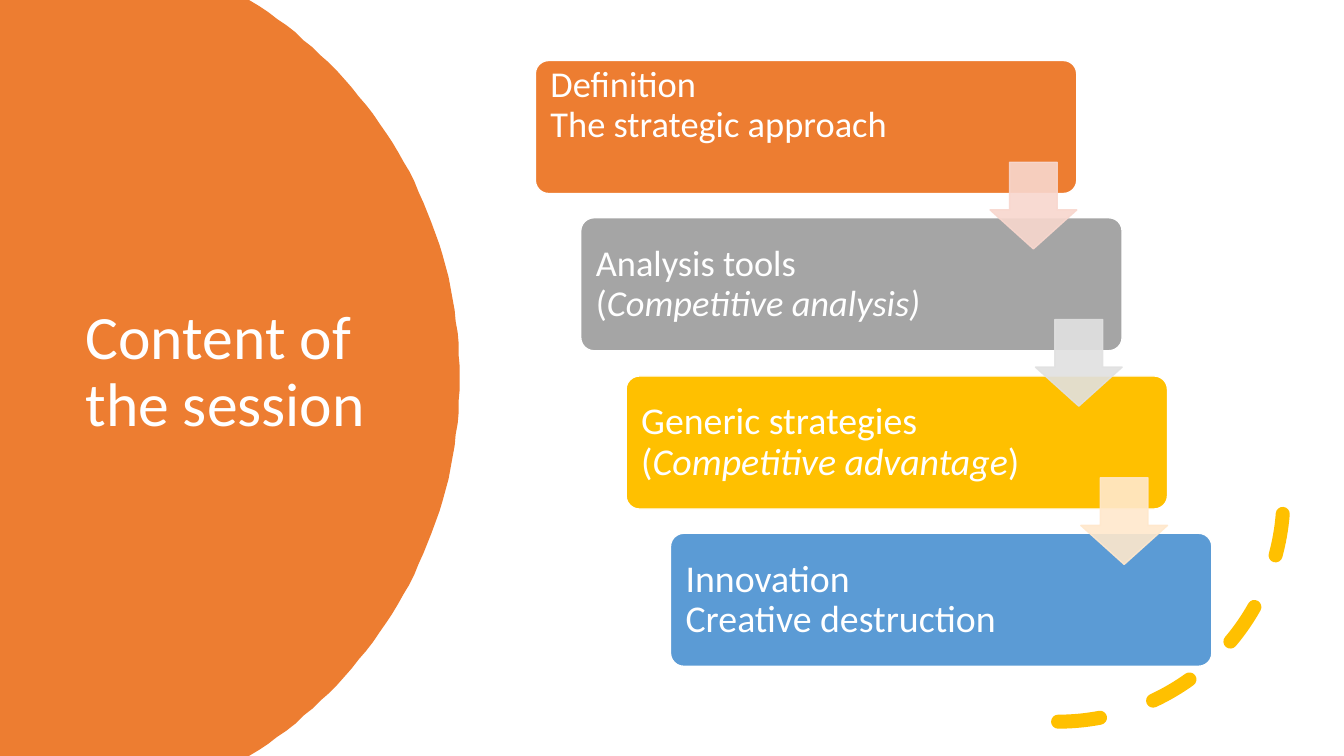
from copy import deepcopy
from math import asin, cos, sin
from lxml.etree import SubElement as Sub
from pptx import Presentation
from pptx.dml.color import RGBColor as RGB
from pptx.enum.dml import MSO_LINE as Dash
from pptx.enum.shapes import MSO_SHAPE as Kind
from pptx.enum.text import MSO_ANCHOR as Anchor
from pptx.oxml.ns import qn
from pptx.util import Pt

PX = 9144
HUE = {
    "white": "FFFFFF", "orange": "ED7D31", "gray": "A5A5A5",
    "gold": "FFC000", "blue": "5B9BD5",
    "rose": "F8D7CE", "silver": "E1E1E1", "cream": "FFE8CC",
}


def paint(shape, fill, line):
    shape.shadow.inherit = False
    shape.fill.solid()
    shape.fill.fore_color.rgb = RGB.from_string(HUE[fill])
    shape.line.color.rgb = RGB.from_string(HUE[line])
    shape.line.width = Pt(1)


def write(left, top, width, height, parts, size, inset):
    box = slide.shapes.add_textbox(left * PX, top * PX, width * PX, height * PX)
    frame = box.text_frame
    frame.word_wrap = True
    frame.vertical_anchor = Anchor.MIDDLE
    frame.margin_left = frame.margin_right = inset * PX
    frame.margin_top = frame.margin_bottom = inset * PX
    para = frame.paragraphs[0]
    para.line_spacing = 0.9
    para.text = parts[0]
    for part in parts[1:]:
        para.add_run().text = part
    for run in para.runs:
        run.font.size = Pt(size)
        run.font.name = "Calibri"
        run.font.color.rgb = RGB.from_string(HUE["white"])
        run.font.italic = run.text in parts[1:2]
    for gap in para._p.findall(qn("a:br")):
        gap.append(deepcopy(para.runs[0]._r.rPr))


deck = Presentation()
deck.slide_width, deck.slide_height = 1333 * PX, 750 * PX
slide = deck.slides.add_slide(deck.slide_layouts[6])

mid, hub, radius, count = 375, 15, 441, 80
reach = asin(mid / radius)
turns = [reach * (2 * i / count - 1) for i in range(count + 1)]
rim = [(hub + radius * cos(t), mid + radius * sin(t)) for t in turns]
pen = slide.shapes.build_freeform(0, 0, scale=PX)
pen.add_line_segments(rim + [(0, 750)], close=True)
disc = pen.convert_to_shape()
paint(disc, "orange", "orange")
disc.line.fill.background()

write(75, 126, 350, 488, ["Content of the session"], 44, 10)

arc = slide.shapes.add_shape(Kind.ARC, 826 * PX, 269 * PX, 447 * PX, 447 * PX)
paint(arc, "gold", "gold")
arc.fill.background()
arc.line.width = Pt(10)
arc.line.dash_style = Dash.DASH
arc.line._ln.set("cap", "rnd")
arc._element.spPr.xfrm.set("flipV", "1")

steps = [
    ("orange", 26, 383, ["Definition\vThe strategic approach\v"]),
    ("gray", 26, 399, ["Analysis tools\v(", "Competitive analysis)"]),
    ("gold", 27, 399, ["Generic strategies\v(", "Competitive advantage", ")"]),
    ("blue", 27, 399, ["Innovation\vCreative destruction"]),
]
for i, (hue, size, width, parts) in enumerate(steps):
    left, top = 531 + round(44.8 * i), 60 + round(156.4 * i)
    card = slide.shapes.add_shape(
        Kind.ROUNDED_RECTANGLE, left * PX, top * PX, 537 * PX, 132 * PX)
    card.adjustments[0] = 0.1
    paint(card, hue, "white")
    write(left + 4, top + 4, width, 125, parts, size, 11)

for i, hue in enumerate(["rose", "silver", "cream"]):
    left, top = 982 + round(44.8 * i), 161 + round(156.4 * i)
    arrow = slide.shapes.add_shape(
        Kind.DOWN_ARROW, left * PX, top * PX, 86 * PX, 86 * PX)
    arrow.adjustments[0], arrow.adjustments[1] = 0.55, 0.45
    paint(arrow, hue, hue)
    for tint in arrow._element.spPr.iter(qn("a:srgbClr")):
        Sub(tint, qn("a:alpha"), val="90000")

deck.save("out.pptx")
